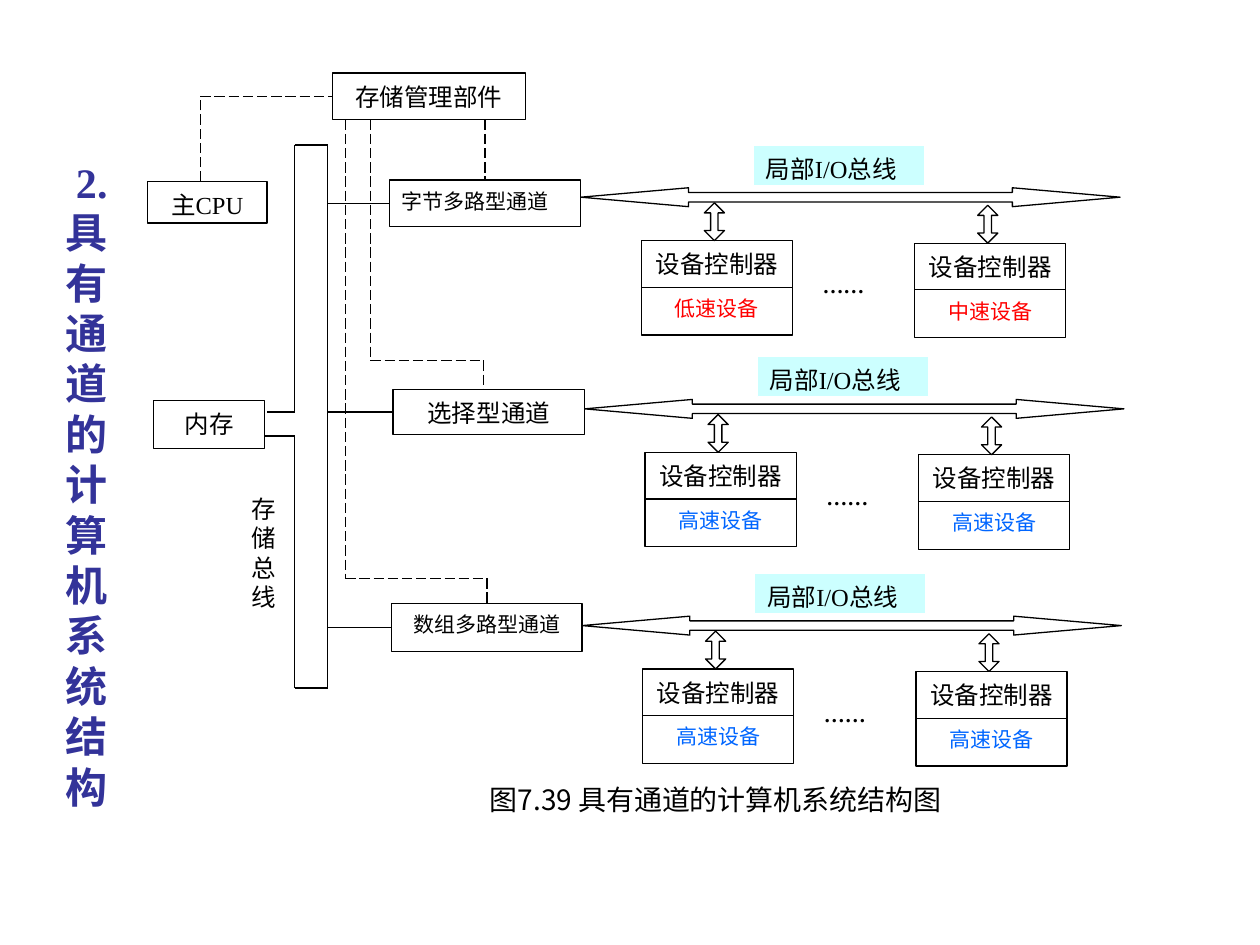
from lxml.etree import SubElement
from pptx import Presentation
from pptx.dml.color import RGBColor
from pptx.enum.dml import MSO_LINE
from pptx.enum.shapes import MSO_CONNECTOR, MSO_SHAPE
from pptx.enum.text import MSO_ANCHOR, MSO_AUTO_SIZE, PP_ALIGN as Align
from pptx.oxml.ns import qn
from pptx.util import Inches, Pt

BLACK = RGBColor(0x00, 0x00, 0x00)
WHITE = RGBColor(0xFF, 0xFF, 0xFF)
INDIGO = RGBColor(0x33, 0x33, 0x99)
RED = RGBColor(0xFF, 0x00, 0x00)
BLUE = RGBColor(0x00, 0x66, 0xFF)
CYAN = RGBColor(0xCC, 0xFF, 0xFF)
SERIF = "Times New Roman"
SANS = "Noto Sans CJK SC"

LEFT_RAIL, RIGHT_RAIL = 2.34, 2.6  # sides of the memory bus
BUS_TOP, BUS_BOTTOM = 1.15, 5.46
MEMORY_UPPER, MEMORY_LOWER = 3.27, 3.46

# Channel name, box, text size, alignment, then its two kinds of device
CHANNELS = [
    ("字节多路型通道", (3.09, 1.43, 1.52, 0.37), 12, Align.LEFT, ("低速设备", "中速设备"), RED),
    ("选择型通道", (3.12, 3.09, 1.52, 0.36), 14, Align.CENTER, ("高速设备", "高速设备"), BLUE),
    ("数组多路型通道", (3.11, 4.79, 1.51, 0.38), 12, Align.CENTER, ("高速设备", "高速设备"), BLUE),
]
LOCAL_BUS_TOPS = [1.49, 3.17, 4.89]


def style_text(frame, size, color, align, spacing, latin=SERIF, east_asian=SANS, bold=False):
    frame.word_wrap = True
    frame.vertical_anchor = MSO_ANCHOR.TOP
    for paragraph in frame.paragraphs:
        paragraph.alignment = align
        paragraph.line_spacing = Pt(round(size * spacing, 1))
        for run in paragraph.runs:
            font = run.font
            font.size, font.bold, font.name = Pt(size), bold, latin
            font.color.rgb = color
            SubElement(font._element, qn("a:ea"), typeface=east_asian)


def add_preset(slide, preset, place, fill=WHITE, outline=BLACK, adjustments=()):
    shape = slide.shapes.add_shape(preset, *map(Inches, place))
    shape.shadow.inherit = False
    if fill is None:
        shape.fill.background()
    else:
        shape.fill.solid()
        shape.fill.fore_color.rgb = fill
    shape.line.color.rgb = outline
    shape.line.width = Pt(0.75)
    for index, value in enumerate(adjustments):
        shape.adjustments[index] = value
    return shape


def add_box(slide, text, place, size=14, color=BLACK, align=Align.CENTER,
            fill=WHITE, outline=BLACK, spacing=1.3, **fonts):
    box = add_preset(slide, MSO_SHAPE.RECTANGLE, place, fill, outline)
    box.text_frame.text = text
    style_text(box.text_frame, size, color, align, spacing, **fonts)
    return box


def add_label(slide, text, place, fill=None, **options):
    """Box with a white outline, used for captions beside the parts."""
    return add_box(slide, text, place, align=Align.JUSTIFY, fill=fill, outline=WHITE, **options)


def add_line(slide, start, end, dashed=False):
    line = slide.shapes.add_connector(MSO_CONNECTOR.STRAIGHT, *map(Inches, start + end))
    line.line.color.rgb = BLACK
    line.line.width = Pt(0.75)
    if dashed:
        line.line.dash_style = MSO_LINE.LONG_DASH
    SubElement(line._element.spPr, qn("a:effectLst"))
    return line


def add_dashes(slide, points):
    """Dashed control path; returns its last segment."""
    segments = [add_line(slide, a, b, dashed=True) for a, b in zip(points, points[1:])]
    return segments[-1]


def add_title(slide):
    title = slide.shapes.title
    title.left, title.top, title.width, title.height = map(Inches, (0.42, 1.19, 1, 5.29))
    title.text_frame.text = "\n".join([" 2.", *"具有通道的计算机系统结构"])
    title.text_frame.auto_size = MSO_AUTO_SIZE.NONE
    style_text(title.text_frame, 24, INDIGO, Align.LEFT, 1.2, bold=True)
    for paragraph in title.text_frame.paragraphs[1:]:
        paragraph.runs[0].font.name = SANS


def add_local_bus(slide, x, y, devices, device_color):
    """Local I/O bus with two controllers, measured from its left end."""
    for dx, dy, device in zip((0.48, 2.65), (0.42, 0.44), devices):
        add_box(slide, "设备控制器", (x + dx, y + dy, 1.2, 0.38))
        add_box(slide, device, (x + dx, y + dy + 0.37, 1.2, 0.38), size=12, color=device_color)
        add_preset(slide, MSO_SHAPE.UP_DOWN_ARROW, (x + dx + 0.5, y + dy - 0.3, 0.16, 0.3),
                   adjustments=(0.5, 0.37))
    add_preset(slide, MSO_SHAPE.LEFT_RIGHT_ARROW, (x, y, 4.28, 0.15), adjustments=(0.5, 5.7))
    add_label(slide, "局部I/O总线", (x + 1.37, y - 0.34, 1.36, 0.32), fill=CYAN)
    add_label(slide, "……", (x + 1.82, y + 0.61, 0.66, 0.33), size=12, bold=True,
              east_asian=SERIF)


def add_memory_bus(slide):
    add_label(slide, "存储总线", (1.9, 3.87, 0.54, 1.22), spacing=1.2)
    for start, end in [
        ((2.12, MEMORY_UPPER), (LEFT_RAIL, MEMORY_UPPER)),
        ((2.1, MEMORY_LOWER), (LEFT_RAIL, MEMORY_LOWER)),
        ((LEFT_RAIL, BUS_TOP), (RIGHT_RAIL, BUS_TOP)),
        ((LEFT_RAIL, BUS_BOTTOM), (RIGHT_RAIL, BUS_BOTTOM)),
        ((RIGHT_RAIL, BUS_TOP), (RIGHT_RAIL, BUS_BOTTOM)),
        ((LEFT_RAIL, BUS_TOP), (LEFT_RAIL, MEMORY_UPPER)),
        ((LEFT_RAIL, MEMORY_LOWER), (LEFT_RAIL, BUS_BOTTOM)),
    ]:
        add_line(slide, start, end)


def add_channels(slide):
    boxes = []
    for (name, place, size, align, devices, color), bus_top in zip(CHANNELS, LOCAL_BUS_TOPS):
        left, top, width, height = place
        channel = add_box(slide, name, place, size=size, align=align)
        middle = top + height / 2
        add_line(slide, (RIGHT_RAIL, middle), (left, middle)).end_connect(channel, 1)
        add_local_bus(slide, left + width, bus_top, devices, color)
        boxes.append(channel)
    return boxes


def add_control_paths(slide, manager, channels):
    manager_middle = (manager.top + manager.height / 2) / Inches(1)
    byte_x, _, array_x = [(box.left + box.width / 2) / Inches(1) for box in channels]
    add_dashes(slide, [(1.59, 1.44), (1.59, manager_middle),
                       (2.64, manager_middle)]).end_connect(manager, 1)
    add_dashes(slide, [(byte_x, 0.95), (byte_x, 1.43)]).end_connect(channels[0], 0)
    add_dashes(slide, [(2.94, 0.95), (2.94, 2.86), (3.84, 2.86), (3.84, 3.09)])
    add_dashes(slide, [(2.74, 0.95), (2.74, 4.59), (array_x, 4.59),
                       (array_x, 4.79)]).end_connect(channels[2], 0)


def main():
    deck = Presentation()
    deck.slide_width, deck.slide_height = Inches(10), Inches(7.5)
    slide = deck.slides.add_slide(deck.slide_layouts[5])
    add_title(slide)

    # Memory side
    add_memory_bus(slide)
    add_box(slide, "主CPU", (1.17, 1.44, 0.95, 0.33))
    add_box(slide, "内存", (1.22, 3.18, 0.88, 0.38))
    manager = add_box(slide, "存储管理部件", (2.64, 0.58, 1.53, 0.37))

    # Channels, their devices and the control paths
    channels = add_channels(slide)
    add_control_paths(slide, manager, channels)

    # Figure caption
    add_label(slide, "图7.39 具有通道的计算机系统结构图", (3.79, 6.14, 4.22, 0.52),
              size=16, latin=SANS)
    deck.save("out.pptx")


if __name__ == "__main__":
    main()
